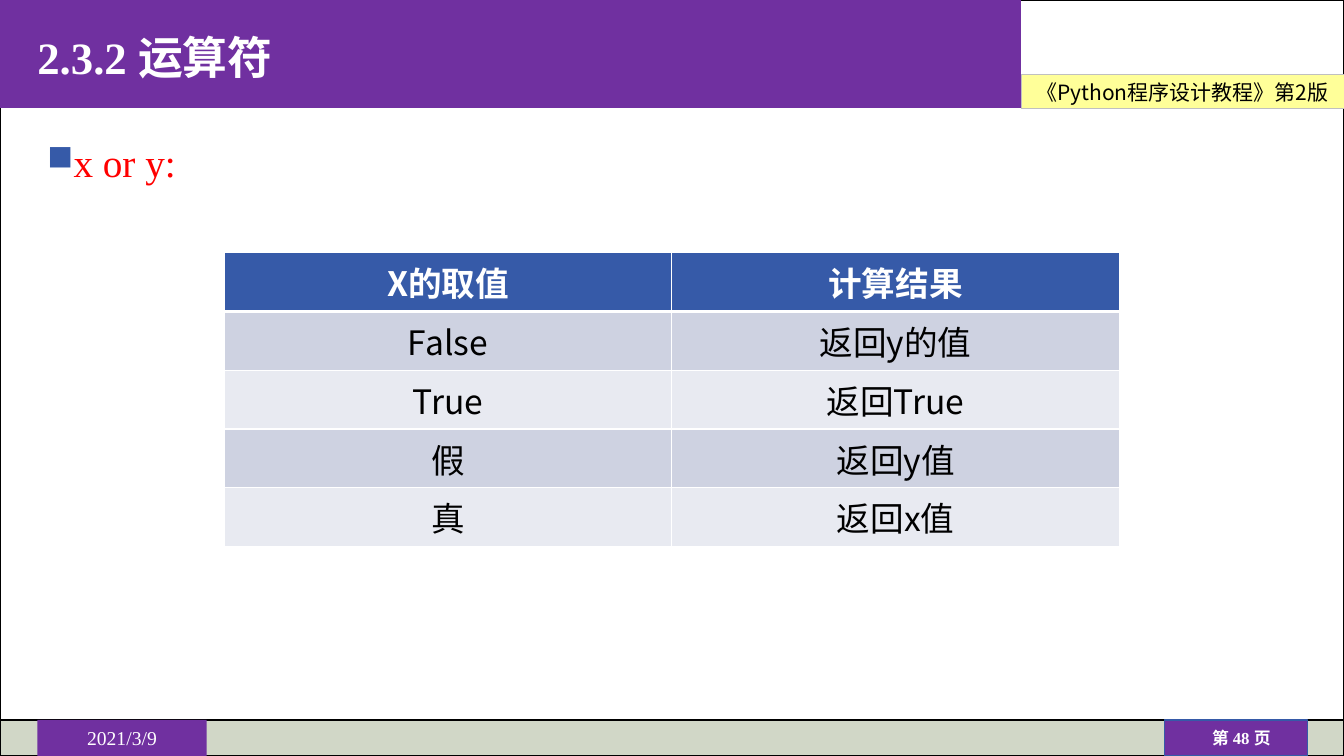
from dataclasses import dataclass

import pptx
import pptx.dml.color
import pptx.enum.shapes
import pptx.enum.text
import pptx.oxml.ns
import pptx.util
from lxml import etree

Cm, Pt = pptx.util.Cm, pptx.util.Pt
ALIGN = pptx.enum.text.PP_ALIGN
qn = pptx.oxml.ns.qn

# Content
TITLE = "2.3.2 运算符"
BOOK = "《Python程序设计教程》第2版"
TOPIC = "x or y:"
DATE = "2021/3/9"
PAGE = "第 48 页"
ROWS = [
    ("X的取值", "计算结果"),
    ("False", "返回y的值"),
    ("True", "返回True"),
    ("假", "返回y值"),
    ("真", "返回x值"),
]


@dataclass(frozen=True)
class Theme:
    serif: str = "Times New Roman"
    sans: str = "Noto Sans CJK SC"
    purple: str = "7030A0"
    blue: str = "365AA8"
    yellow: str = "FFFF99"
    sage: str = "D1D7C7"
    silver: str = "C0C0C0"
    red: str = "FF0000"
    black: str = "000000"
    white: str = "FFFFFF"
    bands: tuple = ("CED2E1", "E8EAF1")
    title_size: int = 32
    topic_size: int = 28
    table_size: int = 24
    book_size: int = 15
    date_size: int = 14
    page_size: int = 12


THEME = Theme()

# Layout in centimetres
WIDTH, HEIGHT = 33.87, 19.05
MARGIN = 0.94
HEADER_WIDTH, HEADER_HEIGHT = 25.73, 2.72
BOOK_TOP = 1.88
FOOTER_TOP = 18.14
FOOTER_HEIGHT = HEIGHT - FOOTER_TOP
TABLE_LEFT, TABLE_TOP = 5.65, 6.37
COLUMN_WIDTH, ROW_HEIGHT = 11.28, 1.48


def rgb(value):
    return pptx.dml.color.RGBColor.from_string(value)


def add_box(slide, box, fill=None, line=None, line_width=1):
    shape = slide.shapes.add_shape(
        pptx.enum.shapes.MSO_SHAPE.RECTANGLE, *map(Cm, box))
    shape.shadow.inherit = False
    if fill:
        shape.fill.solid()
        shape.fill.fore_color.rgb = rgb(fill)
    else:
        shape.fill.background()
    if line:
        shape.line.color.rgb = rgb(line)
        shape.line.width = Pt(line_width)
    else:
        shape.line.fill.background()
    return shape


def write(frame, text, font, size, color, bold=False, align=ALIGN.CENTER):
    paragraph = frame.paragraphs[0]
    paragraph.alignment = align
    run = paragraph.add_run()
    run.text = text
    run.font.name = font
    run.font.size = Pt(size)
    run.font.bold = bold
    run.font.color.rgb = rgb(color)
    east_asian = etree.Element(qn("a:ea"), typeface=THEME.sans)
    run.font._element.find(qn("a:latin")).addnext(east_asian)
    return paragraph


def middle_frame(shape):
    frame = shape.text_frame
    frame.word_wrap = True
    frame.margin_left = frame.margin_right = 0
    frame.margin_top = frame.margin_bottom = 0
    frame.vertical_anchor = pptx.enum.text.MSO_ANCHOR.MIDDLE
    return frame


def add_text_box(slide, box):
    return slide.shapes.add_textbox(*map(Cm, box))


def add_bullet(paragraph, hanging):
    properties = paragraph._p.get_or_add_pPr()
    properties.set("marL", str(Cm(hanging)))
    properties.set("indent", str(-Cm(hanging)))
    color = etree.SubElement(properties, qn("a:buClr"))
    etree.SubElement(color, qn("a:srgbClr"), val=THEME.blue)
    etree.SubElement(properties, qn("a:buSzPct"), val="90000")
    etree.SubElement(properties, qn("a:buChar"), char="■")


def set_borders(cell, widths):
    properties = cell._tc.get_or_add_tcPr()
    for index, (side, width) in enumerate(widths.items()):
        border = etree.Element(qn("a:ln" + side), w=str(Pt(width)))
        fill = etree.SubElement(border, qn("a:solidFill"))
        etree.SubElement(fill, qn("a:srgbClr"), val=THEME.white)
        properties.insert(index, border)


def add_frame(slide):
    # Page outline and footer band
    add_box(slide, (0, 0, WIDTH, HEIGHT), line=THEME.black)
    add_box(slide, (0, FOOTER_TOP, WIDTH, FOOTER_HEIGHT), THEME.sage, THEME.black)

    # Book label
    book = add_box(slide, (HEADER_WIDTH, BOOK_TOP, WIDTH - HEADER_WIDTH, 0.86),
                   THEME.yellow, THEME.silver, 0.5)
    write(middle_frame(book), BOOK, THEME.sans, THEME.book_size, THEME.black)

    # Header band and title
    add_box(slide, (0, 0, HEADER_WIDTH, HEADER_HEIGHT), THEME.purple)
    title = add_text_box(slide, (MARGIN, 0, HEADER_WIDTH - MARGIN, HEADER_HEIGHT))
    paragraph = write(middle_frame(title), TITLE, THEME.serif, THEME.title_size,
                      THEME.white, True, ALIGN.LEFT)
    paragraph.line_spacing = 1.1

    # Page number and date
    add_box(slide, (29.34, FOOTER_TOP, 3.61, FOOTER_HEIGHT), THEME.purple, THEME.blue)
    page = add_text_box(slide, (29.62, 18.31, 3.33, 0.56))
    write(middle_frame(page), PAGE, THEME.serif, THEME.page_size, THEME.white, True)
    date = add_box(slide, (MARGIN, FOOTER_TOP, 4.27, FOOTER_HEIGHT), THEME.purple)
    write(middle_frame(date), DATE, THEME.serif, THEME.date_size, THEME.white)


def add_topic(slide):
    topic = add_text_box(slide, (MARGIN, 3.25, 32, 1.6))
    topic.text_frame.word_wrap = True
    paragraph = write(topic.text_frame, TOPIC, THEME.serif, THEME.topic_size,
                      THEME.red, align=ALIGN.LEFT)
    paragraph.line_spacing = 1.1
    add_bullet(paragraph, 0.66)


def add_result_table(slide):
    columns = len(ROWS[0])
    table = slide.shapes.add_table(
        len(ROWS), columns, Cm(TABLE_LEFT), Cm(TABLE_TOP),
        Cm(columns * COLUMN_WIDTH), Cm(len(ROWS) * ROW_HEIGHT)).table
    for column in table.columns:
        column.width = Cm(COLUMN_WIDTH)
    for row_index, texts in enumerate(ROWS):
        table.rows[row_index].height = Cm(ROW_HEIGHT)
        header = row_index == 0
        fill = THEME.blue if header else THEME.bands[(row_index - 1) % 2]
        color = THEME.white if header else THEME.black
        borders = {"L": 1, "R": 1, "T": 3 if row_index == 1 else 1,
                   "B": 3 if header else 1}
        for column_index, text in enumerate(texts):
            cell = table.cell(row_index, column_index)
            cell.fill.solid()
            cell.fill.fore_color.rgb = rgb(fill)
            set_borders(cell, borders)
            write(cell.text_frame, text, THEME.sans, THEME.table_size, color, header)


def main():
    presentation = pptx.Presentation()
    presentation.slide_width, presentation.slide_height = Cm(WIDTH), Cm(HEIGHT)
    slide = presentation.slides.add_slide(presentation.slide_layouts[6])
    add_frame(slide)
    add_topic(slide)
    add_result_table(slide)
    presentation.save("out.pptx")


if __name__ == "__main__":
    main()
